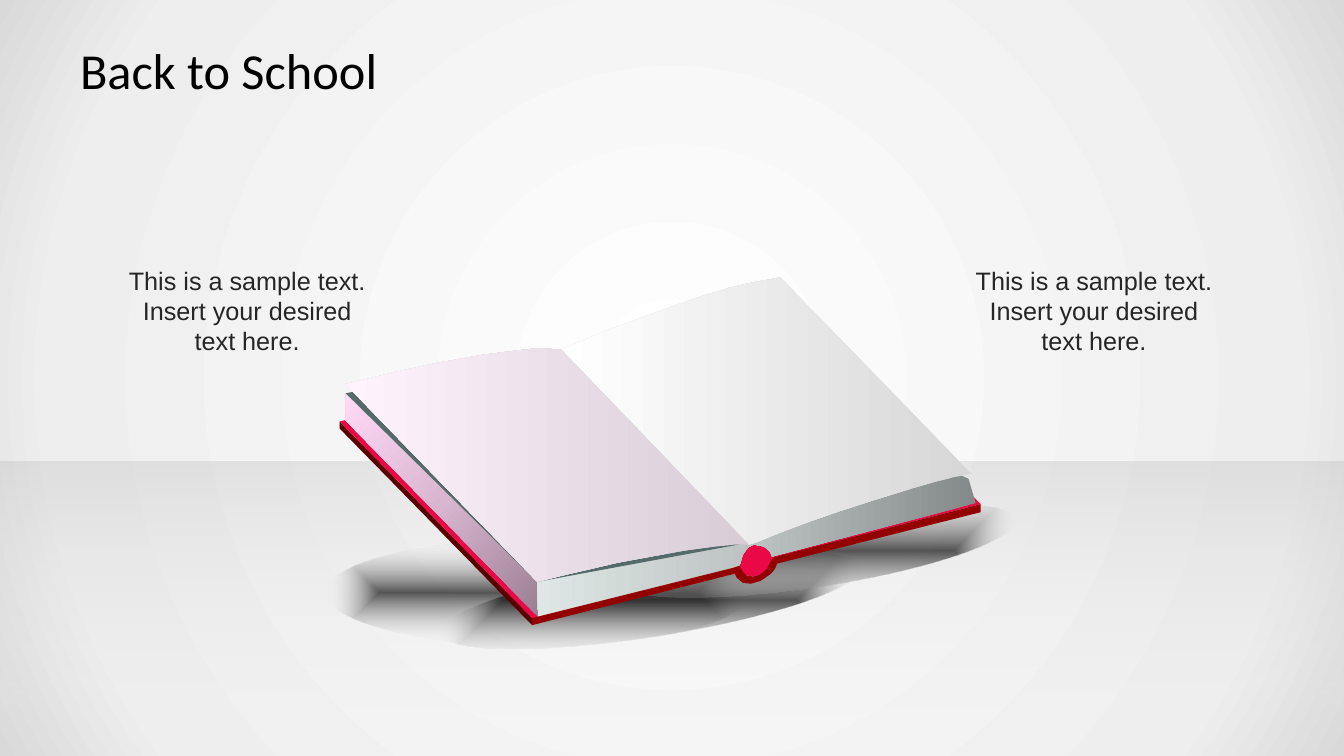
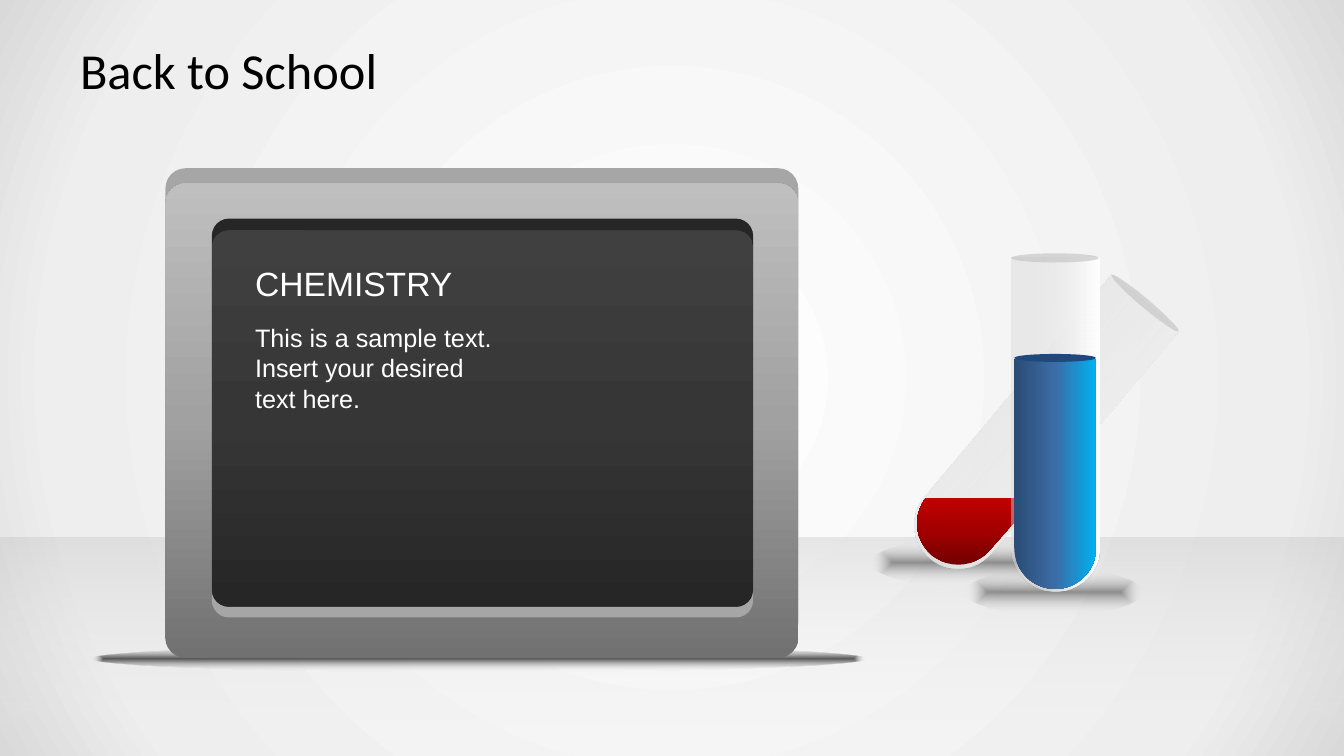
from math import cos, radians, sin

from pptx import Presentation
from pptx.dml.color import RGBColor
from pptx.enum.shapes import MSO_SHAPE
from pptx.enum.text import MSO_ANCHOR, PP_ALIGN
from pptx.oxml import parse_xml
from pptx.oxml.ns import nsdecls, qn
from pptx.util import Cm, Pt

WIDE, HIGH = 33.87, 19.05

HEX = {
    "black": "000000", "white": "FFFFFF", "ink": "262626", "mist": "EEEEEE",
    "fog": "D9D9D9", "floor": "B7B7B7", "shade": "0D0D0D",
    "red": "EB0847", "maroon": "5A0000", "edge": "920000", "slate": "546A6B",
    "plum": "997F92", "mauve": "D9B5D0", "pink": "FFD9F5",
    "stone": "848989", "ash": "BCC2C1", "pale": "DEE7E5",
    "page": "D7D7D7", "lilac": "D8CCD6", "blush": "FFF3FD",
    "frame": "A6A6A6", "iron": "717171", "steel": "A1A1A1", "silver": "BFBFBF",
    "coal": "363636", "char": "404040", "glass": "F2F2F2",
    "wine": "720000", "blood": "A20000", "ruby": "C00000",
    "navy": "2A4C75", "blue": "3C6CA6", "sky": "00B0F0", "azure": "4780C5",
    "top": "1F497D",
}

FILLS = {
    "back": ([(0, "white"), (81, "mist"), (100, "fog")], "circle"),
    "ground": ([(0, "floor", 29), (100, "white", 0)], 90),
    "dark": ([(0, "shade", 68), (100, "white", 0)], "shape"),
    "faint": ([(0, "shade", 41), (100, "white", 0)], "shape"),
    "side": ([(0, "plum"), (50, "mauve"), (100, "pink")], 225),
    "front": ([(0, "stone"), (50, "ash"), (100, "pale")], 180),
    "right": ([(0, "page"), (100, "white")], 180),
    "left": ([(0, "lilac"), (100, "blush")], 180),
    "metal": ([(0, "iron"), (50, "steel"), (100, "silver")], 270),
    "panel": ([(0, "ink"), (50, "coal"), (100, "char")], 270),
    "tube": ([(0, "fog"), (0, "white"), (26, "glass"), (100, "fog", 43)], 0),
    "rim": ([(0, "silver", 58)], None),
    "acid": ([(0, "wine"), (50, "blood"), (100, "ruby")], 270),
    "dye": ([(0, "navy"), (50, "blue"), (99, "sky"), (100, "azure")], 180),
}

BOOK = [
    ("red", [(446, 30), (636, 225), (430, 278), (239, 82)]),
    ("red", [(239, 82), (430, 278), (429, 280), (424, 289), (417, 295),
             (408, 297), (401, 294), (211, 98), (219, 101), (228, 98),
             (235, 91)]),
    ("maroon", [(0, 143), (191, 338), (191, 345), (0, 150)]),
    ("red", [(206, 90), (397, 286), (191, 338), (0, 143)]),
    ("side", [(6, 115), (196, 302), (197, 337), (6, 142)]),
    ("front", [(608, 193), (624, 200), (631, 224), (429, 277), (427, 272),
               (421, 267), (411, 265), (405, 268), (400, 275), (397, 285),
               (397, 287), (197, 337), (196, 302)]),
    ("slate", [(223, 73), (407, 263), (196, 302), (6, 115)]),
    ("right", [(437, 0), (627, 195), (610, 198), (590, 203), (569, 209),
               (527, 222), (496, 232), (467, 242), (435, 254), (413, 263),
               (406, 265), (220, 72), (236, 65), (262, 54), (297, 41),
               (327, 30), (358, 19), (388, 10), (410, 5)]),
    ("left", [(198, 70), (210, 71), (220, 72), (406, 265), (393, 265),
              (372, 267), (342, 271), (309, 277), (276, 283), (246, 290),
              (220, 296), (196, 302), (6, 106), (23, 102), (55, 94),
              (96, 85), (141, 77), (172, 73)]),
    ("edge", [(636, 225), (636, 233), (434, 284), (432, 289), (428, 294),
              (418, 301), (408, 304), (400, 303), (394, 298), (392, 294),
              (191, 345), (191, 338), (391, 288), (397, 286), (398, 288),
              (400, 292), (404, 296), (410, 297), (417, 295), (424, 289),
              (427, 283), (430, 278)]),
]
SPAN = 637


def tint(name, alpha=100):
    return (f'<a:srgbClr val="{HEX[name]}">'
            f'<a:alpha val="{alpha * 1000}"/></a:srgbClr>')


def shading(name):
    stops, way = FILLS[name]
    space = nsdecls("a")
    if way is None:
        return parse_xml(f"<a:solidFill {space}>{tint(*stops[0][1:])}</a:solidFill>")
    marks = "".join(f'<a:gs pos="{stop[0] * 1000}">{tint(*stop[1:])}</a:gs>'
                    for stop in stops)
    if isinstance(way, str):
        rule = (f'<a:path path="{way}"><a:fillToRect l="50000" t="50000" '
                'r="50000" b="50000"/></a:path>')
    else:
        rule = f'<a:lin ang="{way * 60000}" scaled="0"/>'
    return parse_xml(f'<a:gradFill {space} rotWithShape="1">'
                     f"<a:gsLst>{marks}</a:gsLst>{rule}</a:gradFill>")


def paint(fill, node, name):
    fill.solid()
    if name in FILLS:
        node.replace(node.find(qn("a:solidFill")), shading(name))
    else:
        fill.fore_color.rgb = RGBColor.from_string(HEX[name])


def finish(shape, name):
    shape.shadow.inherit = False
    shape.line.fill.background()
    paint(shape.fill, shape._element.spPr, name)
    return shape


def put(slide, kind, box, name, turn=0):
    shape = slide.shapes.add_shape(kind, *map(Cm, box))
    shape.rotation = turn
    return finish(shape, name)


def trace(slide, left, top, unit, dots, name):
    form = slide.shapes.build_freeform(*dots[0], scale=Cm(1) * unit)
    form.add_line_segments(dots[1:], close=True)
    return finish(form.convert_to_shape(Cm(left), Cm(top)), name)


def write(slide, box, text, size, color, font="Arial", align=PP_ALIGN.LEFT):
    frame = slide.shapes.add_textbox(*map(Cm, box)).text_frame
    frame.word_wrap = True
    frame.text = text
    para = frame.paragraphs[0]
    para.alignment = align
    para.font.size = Pt(size)
    para.font.name = font
    para.font.color.rgb = RGBColor.from_string(HEX[color])
    return frame


def start(deck, level):
    slide = deck.slides.add_slide(deck.slide_layouts[6])
    put(slide, MSO_SHAPE.RECTANGLE, (0, level, WIDE, HIGH - level), "ground")
    frame = write(slide, (1.69, 0.76, 30.48, 1.98), "Back to School", 36,
                  "black", "Calibri")
    frame.vertical_anchor = MSO_ANCHOR.MIDDLE
    frame.margin_left = frame.margin_right = Cm(0.33)
    frame.margin_top = frame.margin_bottom = Cm(0.18)
    return slide


def book(slide, left, top, width):
    unit = width / SPAN
    for x, y, wide, high, turn in [(-13, 260, 420, 105, 0),
                                   (98, 284, 420, 72, 351.2),
                                   (273, 235, 399, 72, 351.2)]:
        box = (left + x * unit, top + y * unit, wide * unit, high * unit)
        put(slide, MSO_SHAPE.OVAL, box, "dark", turn)
    for name, dots in BOOK:
        trace(slide, left, top, unit, dots, name)


def board(slide, left, top):
    put(slide, MSO_SHAPE.OVAL, (left - 1.85, top + 12.04, 19.48, 0.64), "dark")
    for x, y, wide, high, curve, name in [
            (0, 0, 15.95, 11.96, 0.51, "frame"),
            (0, 0.38, 15.95, 11.96, 0.51, "metal"),
            (1.17, 1.42, 13.64, 9.9, 0.43, "frame"),
            (1.17, 1.27, 13.64, 9.78, 0.43, "ink"),
            (1.17, 1.57, 13.64, 9.48, 0.43, "panel")]:
        plate = put(slide, MSO_SHAPE.ROUNDED_RECTANGLE,
                    (left + x, top + y, wide, high), name)
        plate.adjustments[0] = curve / high
    write(slide, (left + 2.01, top + 2.26, 11.81, 1.27), "CHEMISTRY", 24, "white")
    write(slide, (left + 2.01, top + 3.76, 6.88, 2.57),
          "This is a sample text. Insert your desired text here.", 18, "white")


def vial(slide, box, name, turn):
    shape = put(slide, MSO_SHAPE.ROUND_2_SAME_RECTANGLE, box, name, turn)
    shape.adjustments[0] = 0.5
    shape.adjustments[1] = 0


def tube(slide, x, y, tilt):
    wide, high, rim, rise = 2.21, 8.43, 0.23, 4.2
    vial(slide, (x - wide / 2, y - high / 2, wide, high), "tube", 180 + tilt)
    x += rise * sin(radians(tilt))
    y -= rise * cos(radians(tilt))
    put(slide, MSO_SHAPE.OVAL, (x - wide / 2, y - rim / 2, wide, rim), "rim", tilt)


def tubes(slide, left, top):
    put(slide, MSO_SHAPE.OVAL, (left, top + 7.24, 4.45, 1.12), "faint")
    tube(slide, left + 4.2, top + 4.47, 40.1)
    arc = [(220 + 104 * cos(radians(a)), 681 + 104 * sin(radians(a)))
           for a in range(218, 41, -8)]
    trace(slide, left, top, 0.01, arc + [(414, 617)], "acid")
    put(slide, MSO_SHAPE.OVAL, (left + 2.39, top + 7.98, 4.45, 1.12), "faint")
    tube(slide, left + 4.64, top + 4.32, 0)
    vial(slide, (left + 3.61, top + 2.67, 2.06, 5.79), "dye", 180)
    put(slide, MSO_SHAPE.OVAL, (left + 3.61, top + 2.54, 2.06, 0.2), "top")


def main():
    deck = Presentation()
    deck.slide_width, deck.slide_height = Cm(WIDE), Cm(HIGH)
    master = deck.slide_master
    fill = master.background.fill
    paint(fill, master._element.find(".//" + qn("p:bgPr")), "back")

    slide = start(deck, 11.63)
    for left, width in [(2.84, 6.78), (24.13, 6.88)]:
        write(slide, (left, 6.55, width, 2.57),
              "This is a sample text. Insert your desired text here.",
              18, "ink", align=PP_ALIGN.CENTER)
    book(slide, 8.56, 6.99, 16.18)

    slide = start(deck, 13.54)
    board(slide, 4.17, 4.24)
    tubes(slide, 21.95, 6.38)
    deck.save("out.pptx")


if __name__ == "__main__":
    main()
